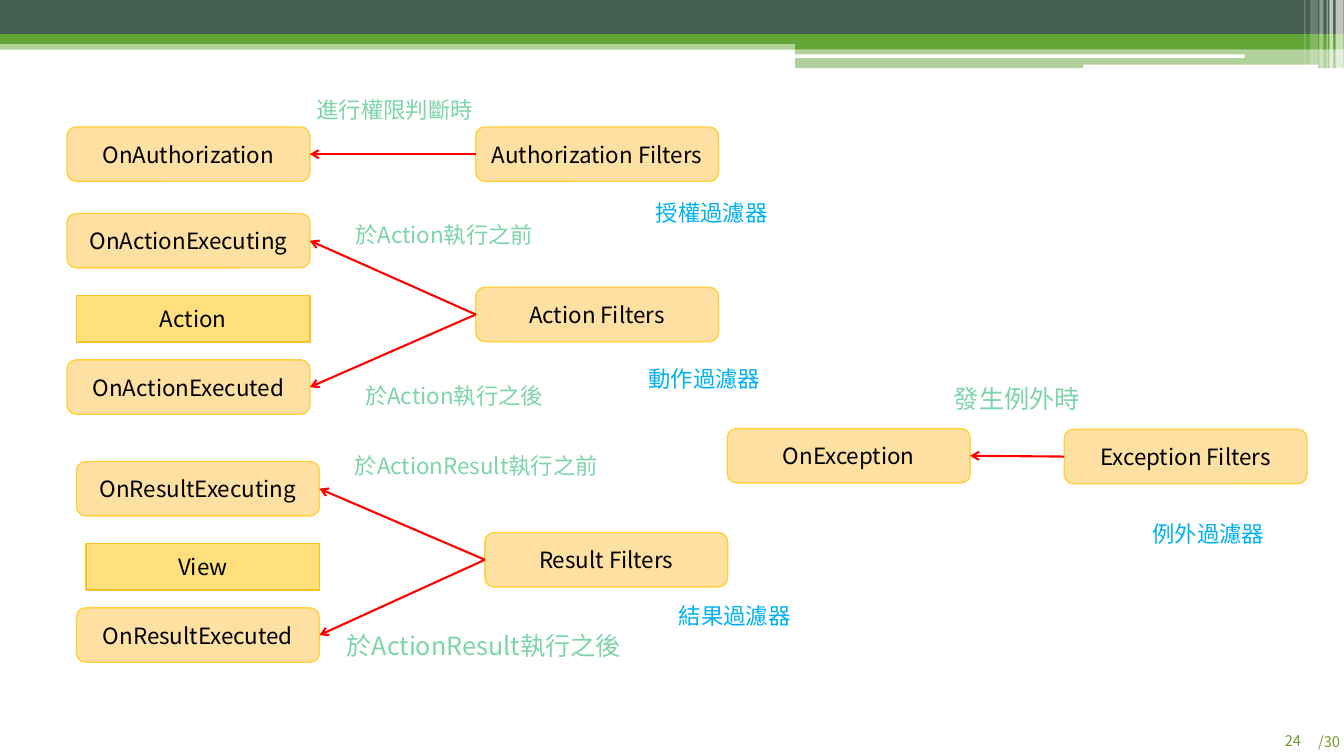
from dataclasses import dataclass

from lxml import etree
from pptx import Presentation
from pptx import util as u
from pptx.dml import color
from pptx.enum import shapes, text
from pptx.oxml import ns


@dataclass(frozen=True)
class Theme:
    font: str = "Noto Sans CJK SC"
    body: float = 16
    large: float = 18
    page: float = 10.5
    black: str = "000000"
    white: str = "FFFFFF"
    dark_green: str = "455F51"
    green: str = "63A537"
    page_green: str = "739A28"
    timing: str = "7DD4A9"
    caption: str = "00B0F0"
    arrow: str = "FF0000"
    box: str = "FFE0A3"
    box_edge: str = "FFD13F"
    target: str = "FFE07D"
    target_edge: str = "F9C32B"


theme = Theme()
Kind = shapes.MSO_SHAPE
Align = text.PP_ALIGN
Anchor = text.MSO_ANCHOR

deck = Presentation()
deck.slide_width, deck.slide_height = u.Cm(33.87), u.Cm(19.05)
slide = deck.slides.add_slide(deck.slide_layouts[6])


def add_panel(kind, left, top, width, height, fill, edge=None, opacity=100):
    panel = slide.shapes.add_shape(kind, u.Cm(left), u.Cm(top), u.Cm(width), u.Cm(height))
    panel.shadow.inherit = False
    panel.fill.solid()
    panel.fill.fore_color.rgb = color.RGBColor.from_string(fill)
    if opacity < 100:
        tint = panel.fill._xPr.find(".//" + ns.qn("a:srgbClr"))
        etree.SubElement(tint, ns.qn("a:alpha"), val=str(opacity * 1000))
    if edge:
        panel.line.color.rgb = color.RGBColor.from_string(edge)
        panel.line.width = u.Pt(1)
    else:
        panel.line.fill.background()
    return panel


def write(wording, holder=None, at=None, size=theme.body, colour=theme.black,
          align=Align.CENTER, anchor=Anchor.TOP, wrap=False, inset=None):
    if holder is None:
        holder = slide.shapes.add_textbox(*(u.Cm(length) for length in at))
    frame = holder.text_frame
    frame.word_wrap = wrap
    frame.vertical_anchor = anchor
    if inset is not None:
        frame.margin_left = frame.margin_right = u.Cm(inset)
        frame.margin_top = frame.margin_bottom = u.Cm(inset)
    line = frame.paragraphs[0]
    line.alignment = align
    run = line.add_run()
    run.text = wording
    run.font.size = u.Pt(size)
    run.font.name = theme.font
    run.font.color.rgb = color.RGBColor.from_string(colour)
    etree.SubElement(run.font._element, ns.qn("a:ea"), typeface=theme.font)


# Header bands
for left, top, width, height, fill, opacity in [
    (0, 1.02, 33.87, 0.23, theme.green, 50),
    (0, 0, 33.87, 0.86, theme.dark_green, 100),
    (0, 0.86, 33.87, 0.25, theme.green, 100),
    (20.04, 0.99, 13.83, 0.25, theme.green, 100),
    (20.04, 1.22, 13.83, 0.5, theme.green, 50),
]:
    add_panel(Kind.RECTANGLE, left, top, width, height, fill, opacity=opacity)

for left, top, width in [(20.02, 1.37, 11.35), (27.3, 1.63, 5.92)]:
    add_panel(Kind.ROUNDED_RECTANGLE, left, top, width, 0.09, theme.white)

# Light stripes in the header corner
for left, width, height, opacity in [
    (33.66, 0.2, 1.73, 65), (33.5, 0.1, 1.73, 65), (33.43, 0.03, 1.73, 60),
    (33.25, 0.1, 1.73, 40), (33.02, 0.2, 1.63, 20), (32.87, 0.03, 1.63, 30),
]:
    add_panel(Kind.RECTANGLE, left, 0, width, height, theme.white, opacity=opacity)

# Page number
for number, left, top in [("/30", 32.5, 18.47), ("24", 31.52, 18.45)]:
    write(number, at=(left, top, 1.27, 0.47), size=theme.page, colour=theme.page_green,
          align=Align.RIGHT, inset=0)

# Filters, each with arrows to the handlers it calls
filters = [
    ("Authorization Filters", 11.99, 3.2, 1.69, [("OnAuthorization", 3.2)]),
    ("Action Filters", 11.99, 7.24, 1.69,
     [("OnActionExecuting", 5.38), ("OnActionExecuted", 9.07)]),
    ("Result Filters", 12.22, 13.42, 1.93,
     [("OnResultExecuting", 11.63), ("OnResultExecuted", 15.32)]),
    ("Exception Filters", 26.82, 10.82, 18.33, [("OnException", 10.8)]),
]
LEFT_SITE, RIGHT_SITE = 1, 3
for filter_name, filter_left, filter_top, handler_left, handlers in filters:
    boxes = []
    for name, left, top in [(filter_name, filter_left, filter_top)] + [
            (handler, handler_left, handler_top) for handler, handler_top in handlers]:
        box = add_panel(Kind.FLOWCHART_ALTERNATE_PROCESS, left, top, 6.12, 1.37,
                        theme.box, theme.box_edge)
        write(name, box, anchor=Anchor.MIDDLE)
        boxes.append(box)
    for handler_box in boxes[1:]:
        call = slide.shapes.add_connector(shapes.MSO_CONNECTOR.STRAIGHT, 0, 0, 0, 0)
        call.begin_connect(boxes[0], LEFT_SITE)
        call.end_connect(handler_box, RIGHT_SITE)
        call.line.color.rgb = color.RGBColor.from_string(theme.arrow)
        call.line.width = u.Pt(1.5)
        etree.SubElement(call.line._get_or_add_ln(), ns.qn("a:tailEnd"), type="arrow")
        etree.SubElement(call._element.spPr, ns.qn("a:effectLst"))

# Steps that run between two handlers
for name, left, top in [("Action", 1.93, 7.44), ("View", 2.17, 13.69)]:
    step = add_panel(Kind.RECTANGLE, left, top, 5.88, 1.18, theme.target, theme.target_edge)
    write(name, step, anchor=Anchor.MIDDLE)

# Filter captions
for caption, left, top in [
    ("授權過濾器", 16.26, 4.9), ("動作過濾器", 16.08, 9.07),
    ("結果過濾器", 16.84, 15.06), ("例外過濾器", 28.78, 12.98),
]:
    write(caption, at=(left, top, 3.35, 0.94), colour=theme.caption)

# When each handler runs
for timing, left, top, width, size, wrap in [
    ("進行權限判斷時", 7.7, 2.31, 4.5, theme.body, False),
    ("於Action執行之前", 8.64, 5.44, 5.11, theme.body, True),
    ("於Action執行之後", 8.89, 9.5, 5.11, theme.body, True),
    ("於ActionResult執行之前", 8.64, 11.28, 6.73, theme.body, True),
    ("於ActionResult執行之後", 8.43, 15.75, 7.52, theme.large, True),
    ("發生例外時", 23.77, 9.53, 3.71, theme.large, False),
]:
    write(timing, at=(left, top, width, 0.94), size=size, colour=theme.timing, wrap=wrap)

deck.save("out.pptx")
